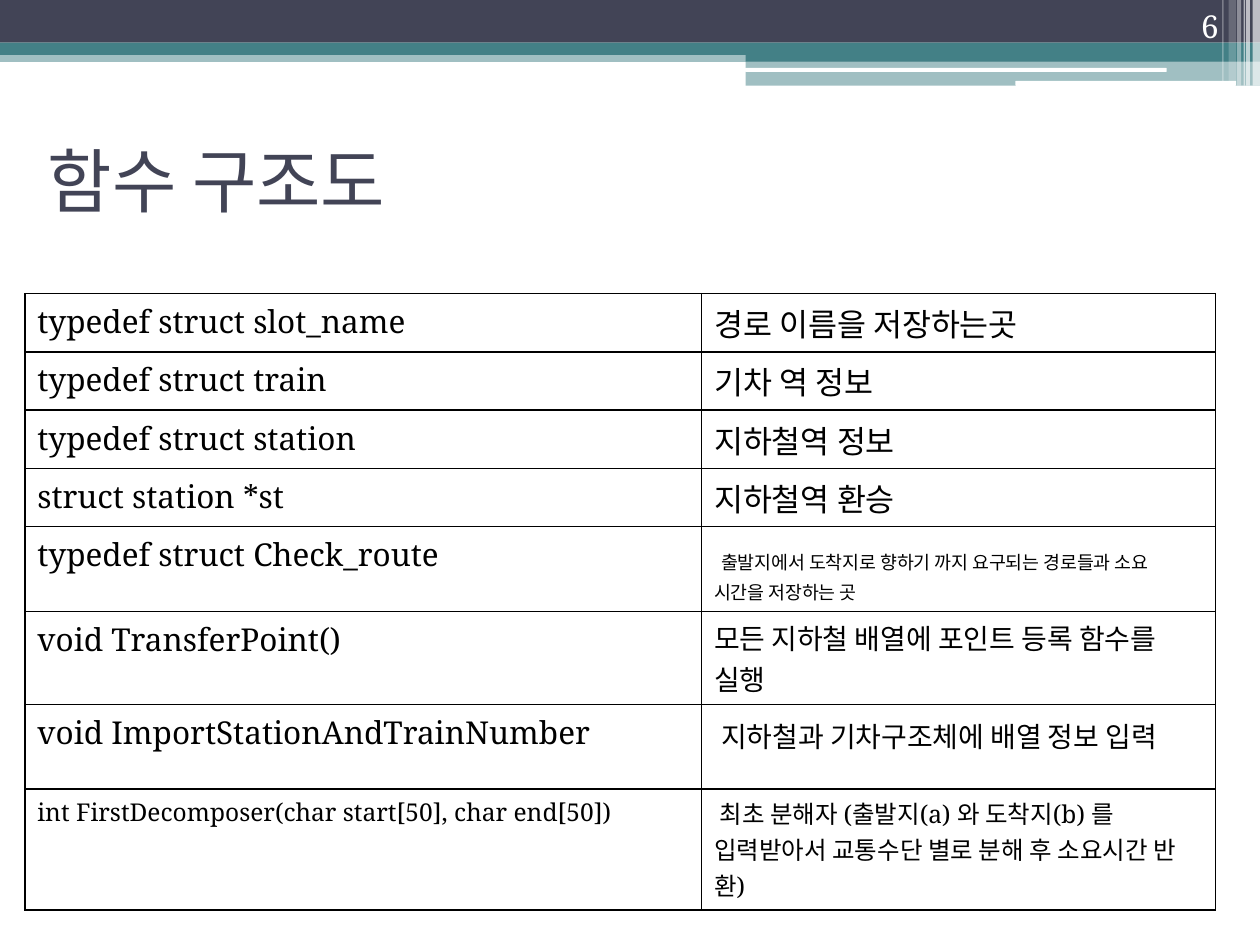
from pptx import Presentation
from pptx.dml.color import RGBColor as Rgb
from pptx.enum.shapes import MSO_SHAPE as Kind
from pptx.enum.text import MSO_ANCHOR as Anchor, PP_ALIGN as Align
from pptx.oxml import parse_xml
from pptx.oxml.ns import nsdecls, qn
from pptx.util import Cm, Pt
from lxml.etree import SubElement

NAVY, TEAL, WHITE, BLACK = "424456", "438086", "FFFFFF", "000000"
SERIF, SANS = "Noto Serif", "Arial"

# Left, top, width, height in cm; colour; opacity in percent
BANDS = [
    (0, 1.02, 25.4, 0.23, TEAL, 50),
    (0, 0, 25.4, 0.86, NAVY, 100),
    (0, 0.86, 25.4, 0.25, TEAL, 100),
    (15.03, 0.99, 10.37, 0.25, TEAL, 100),
    (15.03, 1.23, 10.37, 0.5, TEAL, 50),
]
PILLS = [
    (15.02, 1.37, 8.5, 0.08, WHITE, 100),
    (20.47, 1.63, 4.45, 0.1, WHITE, 100),
]
# Left, width, height, opacity
STRIPES = [
    (25.25, 0.15, 1.73, 65),
    (25.12, 0.08, 1.73, 65),
    (25.07, 0.03, 1.73, 60),
    (24.94, 0.08, 1.73, 40),
    (24.77, 0.15, 1.63, 20),
    (24.64, 0.03, 1.63, 30),
]

# Row height in cm, then the runs of each cell: text, size, font
ROWS = [
    (1, [("typedef struct slot_name", 18, SERIF)],
     [("경로 이름을 저장하는곳", 18, SERIF)]),
    (1, [("typedef struct train ", 18, SERIF)],
     [("기차 역 정보", 18, SERIF)]),
    (1, [("typedef struct station", 18, SERIF)],
     [("지하철역 정보", 18, SERIF)]),
    (1, [("struct station *st", 18, SERIF)],
     [("지하철역 환승", 18, SERIF)]),
    (1.37, [("typedef struct Check_route", 18, SERIF)],
     [(" ", 18, SERIF),
      ("출발지에서 도착지로 향하기 까지 요구되는 경로들과 소요 "
       "시간을 저장하는 곳", 10.5, SANS)]),
    (1.7, [("void TransferPoint()", 18, SERIF)],
     [("모든 지하철 배열에 포인트 등록 함수를 실행", 16, SANS)]),
    (1.7, [("void ImportStationAndTrainNumber ", 18, SERIF)],
     [(" ", 18, SERIF),
      ("지하철과 기차구조체에 배열 정보 입력", 16, SERIF)]),
    (2.44, [("int FirstDecomposer(char start[50], char end[50])", 14, SERIF)],
     [(" 최초 분해자 (출발지(a) 와 도착지(b) 를 입력받아서 "
       "교통수단 별로 분해 후 소요시간 반환)", 14, SERIF)]),
]


def paint(fill, tint, alpha=100):
    fill.solid()
    fill.fore_color.rgb = Rgb.from_string(tint)
    if alpha < 100:
        node = fill._xPr.find(qn("a:solidFill"))[0]
        SubElement(node, qn("a:alpha"), val=str(alpha * 1000))


def style(run, size, font, tint):
    run.font.size = Pt(size)
    run.font.name = font
    paint(run.font.fill, tint)


def add_bar(slide, left, top, width, height, tint, alpha, kind=Kind.RECTANGLE):
    bar = slide.shapes.add_shape(kind, Cm(left), Cm(top), Cm(width), Cm(height))
    bar.shadow.inherit = False
    bar.line.fill.background()
    paint(bar.fill, tint, alpha)


def add_head(slide):
    for band in BANDS:
        add_bar(slide, *band)
    for pill in PILLS:
        add_bar(slide, *pill, kind=Kind.ROUNDED_RECTANGLE)
    for left, width, height, alpha in STRIPES:
        add_bar(slide, left, 0, width, height, WHITE, alpha)


def add_title(slide, text):
    title = slide.shapes.title
    title.left, title.top = Cm(0.71), Cm(2.13)
    title.width, title.height = Cm(22.86), Cm(2.97)
    frame = title.text_frame
    frame.text = text
    frame.vertical_anchor = Anchor.MIDDLE
    para = frame.paragraphs[0]
    para.alignment = Align.LEFT
    style(para.runs[0], 40, "Karla", NAVY)


def add_edges(cell):
    props = cell._tc.get_or_add_tcPr()
    for spot, side in enumerate(("lnL", "lnR", "lnT", "lnB")):
        props.insert(spot, parse_xml(
            f'<a:{side} {nsdecls("a")} w="12700"><a:solidFill>'
            f'<a:srgbClr val="{BLACK}"/></a:solidFill></a:{side}>'))


def fill_cell(cell, runs):
    para = cell.text_frame.paragraphs[0]
    for text, size, font in runs:
        run = para.add_run()
        run.text = text
        style(run, size, font, BLACK)
    cell.fill.background()
    add_edges(cell)


def add_grid(slide):
    total = sum(row[0] for row in ROWS)
    grid = slide.shapes.add_table(len(ROWS), 2, Cm(0.5), Cm(5.92),
                                  Cm(24), Cm(total)).table
    grid.first_row = grid.horz_banding = False
    for col, width in zip(grid.columns, (13.64, 10.36)):
        col.width = Cm(width)
    for row, (height, *cells) in zip(grid.rows, ROWS):
        row.height = Cm(height)
        for cell, runs in zip(row.cells, cells):
            fill_cell(cell, runs)


def add_number(slide, text):
    box = slide.shapes.add_textbox(Cm(22.71), 0, Cm(2.11), Cm(1.02))
    frame = box.text_frame
    frame.word_wrap = True
    frame.vertical_anchor = Anchor.BOTTOM
    frame.text = text
    para = frame.paragraphs[0]
    para.alignment = Align.RIGHT
    style(para.runs[0], 18, SERIF, WHITE)


def main():
    deck = Presentation()
    deck.slide_width, deck.slide_height = Cm(25.4), Cm(19.05)
    slide = deck.slides.add_slide(deck.slide_layouts[5])
    add_head(slide)
    add_title(slide, "함수 구조도")
    add_grid(slide)
    add_number(slide, "6")
    deck.save("out.pptx")


main()
